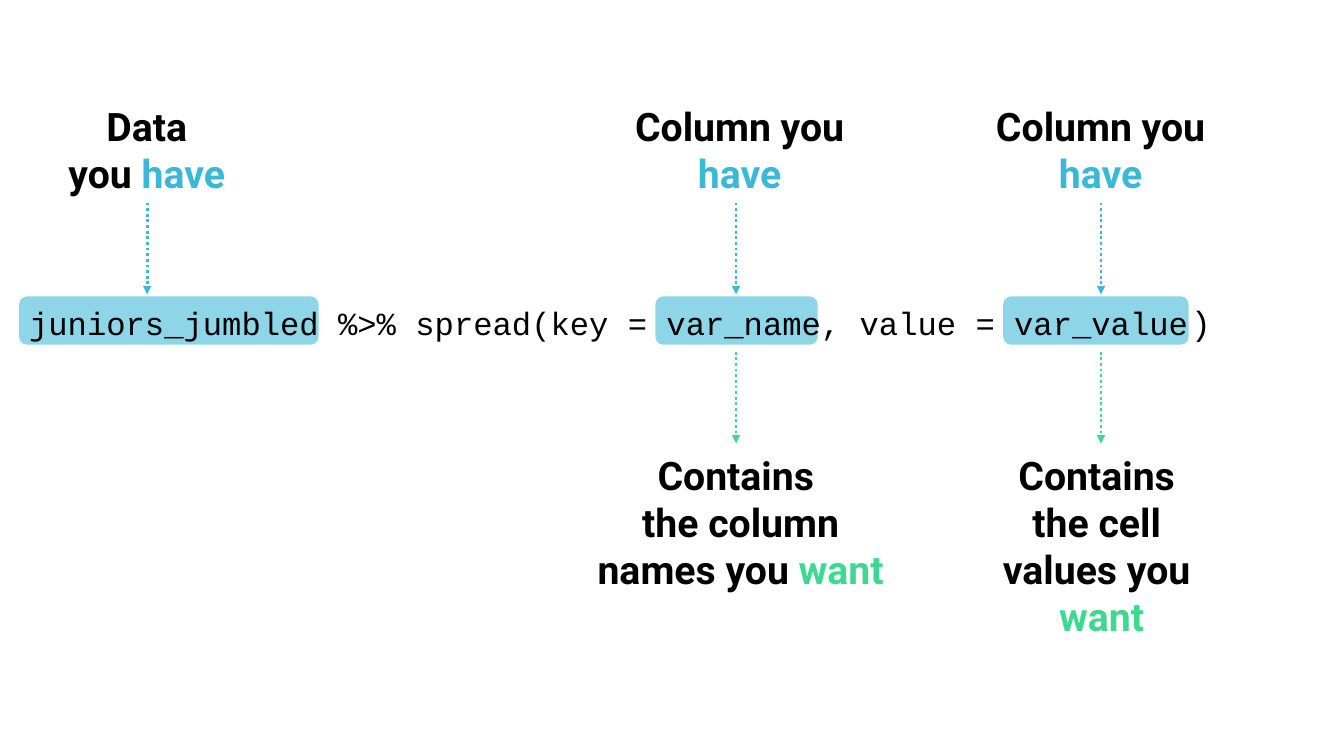
from pptx import Presentation
from pptx.dml.color import RGBColor
from pptx.enum.dml import MSO_LINE
from pptx.enum.shapes import MSO_CONNECTOR, MSO_SHAPE
from pptx.enum.text import MSO_ANCHOR, MSO_AUTO_SIZE, PP_ALIGN
from pptx.oxml.ns import qn
from pptx.util import Inches, Pt
from lxml.etree import SubElement

COLORS = {"text": "000000", "highlight": "8ED5E8", "have": "3BB8D6", "want": "3BDA90"}
WIDTH, HEIGHT = 13.33, 7.5

# Rows of the diagram: top edges, and the height of a code highlight
CODE_TOP, CODE_HEIGHT = 2.94, 0.48
HAVE_ARROW_TOP, WANT_ARROW_TOP, ARROW_LENGTH = 2.01, 3.49, 0.91
HAVE_MIDDLE, WANT_TOP = 1.48, 4.43

# Arguments of the call: (highlight left, highlight width, arrow x)
DATA = (0.19, 2.97, 1.46)
KEY = (6.5, 1.61, 7.3)
VALUE = (9.95, 1.84, 10.92)


def color(name):
    return RGBColor.from_string(COLORS[name])


def write_label(text_frame, lines):
    """Write centred bold lines; each line is a list of (text, color name)."""
    text_frame.word_wrap = True
    for index, line in enumerate(lines):
        paragraph = text_frame.paragraphs[0] if index == 0 else text_frame.add_paragraph()
        paragraph.alignment = PP_ALIGN.CENTER
        paragraph.font.name = "Roboto"
        paragraph.font.size = Pt(28)
        paragraph.font.bold = True
        for text, color_name in line:
            run = paragraph.add_run()
            run.text = text
            run.font.color.rgb = color(color_name)


def add_highlight(slide, argument):
    left, width, _ = argument
    shape = slide.shapes.add_shape(MSO_SHAPE.ROUNDED_RECTANGLE, Inches(left),
                                   Inches(CODE_TOP), Inches(width), Inches(CODE_HEIGHT))
    shape.shadow.inherit = False
    shape.fill.solid()
    shape.fill.fore_color.rgb = color("highlight")
    shape.line.fill.background()


def add_arrow(slide, argument, top, color_name):
    x = Inches(argument[2])
    arrow = slide.shapes.add_connector(MSO_CONNECTOR.STRAIGHT, x, Inches(top),
                                       x, Inches(top + ARROW_LENGTH))
    arrow.line.color.rgb = color(color_name)
    arrow.line.width = Pt(2)
    arrow.line.dash_style = MSO_LINE.ROUND_DOT
    SubElement(arrow.line._get_or_add_ln(), qn("a:tailEnd"), type="triangle")
    SubElement(arrow._element.spPr, qn("a:effectLst"))


def add_callout(slide, left, width, height, pointer, lines):
    shape = slide.shapes.add_shape(MSO_SHAPE.RECTANGULAR_CALLOUT, Inches(left),
                                   Inches(HAVE_MIDDLE - height / 2),
                                   Inches(width), Inches(height))
    shape.adjustments[0], shape.adjustments[1] = pointer
    shape.shadow.inherit = False
    shape.fill.background()
    shape.line.fill.background()
    shape.text_frame.vertical_anchor = MSO_ANCHOR.MIDDLE
    write_label(shape.text_frame, lines)


def add_want_text(slide, left, lines):
    box = slide.shapes.add_textbox(Inches(left), Inches(WANT_TOP), Inches(3.15), Inches(1.99))
    write_label(box.text_frame, lines)
    box.text_frame.auto_size = MSO_AUTO_SIZE.SHAPE_TO_FIT_TEXT


def add_code(slide):
    box = slide.shapes.add_textbox(Inches(DATA[0]), Inches(2.95), Inches(WIDTH), Inches(0.5))
    box.text_frame.word_wrap = True
    box.text_frame.auto_size = MSO_AUTO_SIZE.SHAPE_TO_FIT_TEXT
    paragraph = box.text_frame.paragraphs[0]
    paragraph.font.name = "Courier New"
    paragraph.font.color.rgb = color("text")
    call = "juniors_jumbled %>% spread(key = var_name, value = var_value"
    for text, size in ((call, 23), (")", 24)):
        run = paragraph.add_run()
        run.text = text
        run.font.size = Pt(size)


def main():
    presentation = Presentation()
    presentation.slide_width, presentation.slide_height = Inches(WIDTH), Inches(HEIGHT)
    slide = presentation.slides.add_slide(presentation.slide_layouts[6])

    # Highlights and arrows of the arguments
    for argument in (DATA, KEY, VALUE):
        add_highlight(slide, argument)
        add_arrow(slide, argument, HAVE_ARROW_TOP, "have")
    for argument in (KEY, VALUE):
        add_arrow(slide, argument, WANT_ARROW_TOP, "want")

    # What you have
    add_callout(slide, 0.43, 2.05, 1.04, (-0.32, 1.12),
                [[("Data", "text")], [("you ", "text"), ("have", "have")]])
    for left in (6.06, 9.64):
        add_callout(slide, left, 2.55, 1.25, (-0.06, -1.24),
                    [[("Column you ", "text"), ("have", "have")]])

    # What you want
    add_want_text(slide, 5.77, [[("Contains ", "text")],
                                [("the column names you ", "text"), ("want", "want")]])
    add_want_text(slide, 9.35, [[("Contains ", "text")], [("the cell ", "text")],
                                [("values you ", "text")], [("want", "want")]])

    # The call itself
    add_code(slide)
    presentation.save("out.pptx")


main()
